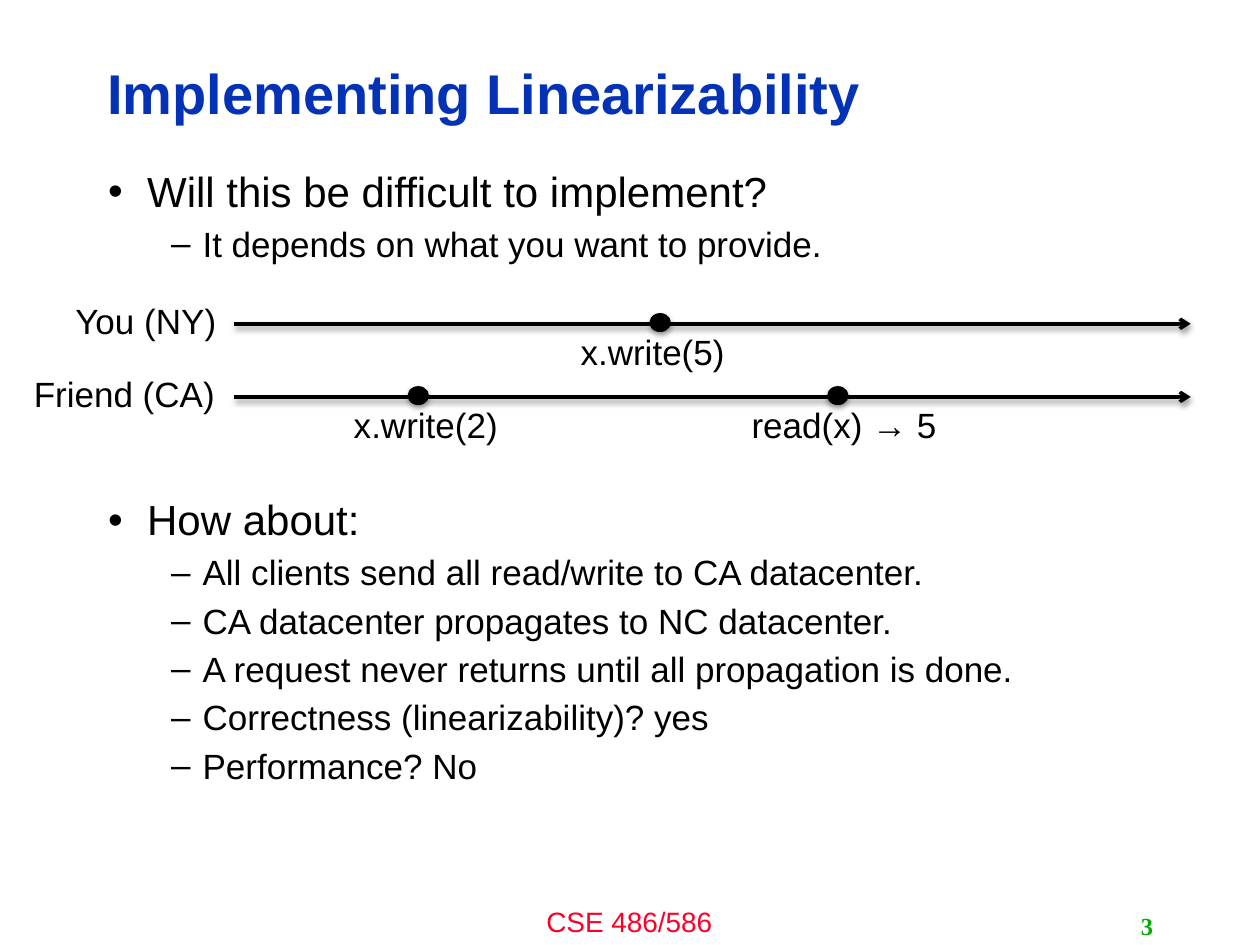
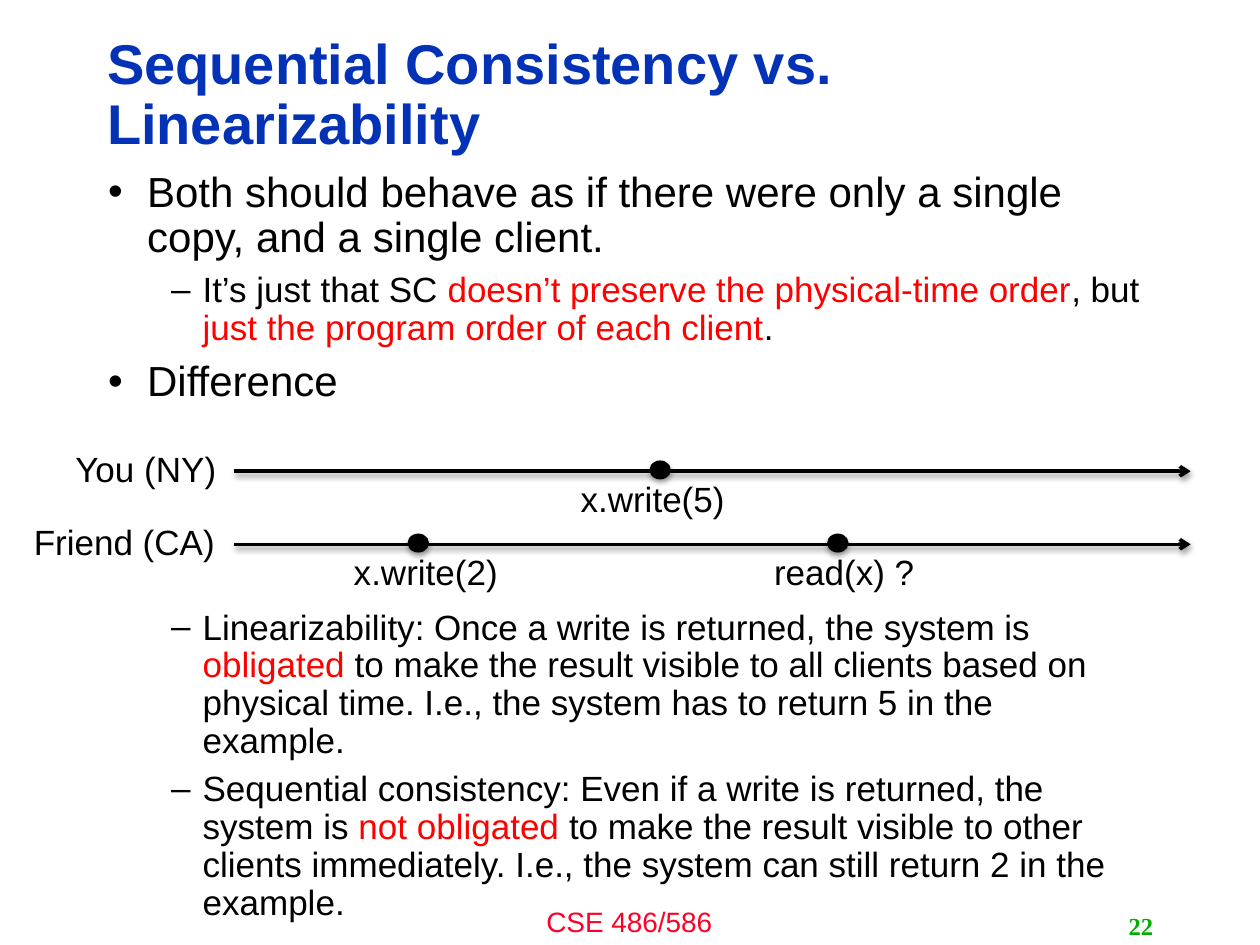
from dataclasses import dataclass

from lxml import etree
from pptx import Presentation
from pptx.dml.color import RGBColor
from pptx.enum.shapes import MSO_CONNECTOR as Connector, MSO_SHAPE as Preset
from pptx.enum.text import MSO_ANCHOR as Anchor, MSO_AUTO_SIZE as AutoSize, PP_ALIGN as Align
from pptx.oxml.ns import qn
from pptx.util import Inches, Pt

COLORS = {
    "title": "0332B7",
    "text": "000000",
    "highlight": "FF0000",
    "footer": "FC0128",
    "number": "00AE00",
}
FONT = "Arial"
NUMBER_FONT = "Times New Roman"
TITLE_ONLY = 5

# Timeline geometry, in inches
LINE_LEFT, LINE_RIGHT = 1.86, 9.45
LABEL_RIGHT = 1.84
ROW_GAP = 0.58
DOT_WIDTH, DOT_HEIGHT = 0.16, 0.14
EVENT_WIDTH, LABEL_HEIGHT = 3.43, 0.44


@dataclass(frozen=True)
class Span:
    text: str
    color: str = "text"


@dataclass(frozen=True)
class Bullet:
    spans: tuple[Span, ...]
    level: int = 0
    gap: float = 0  # extra points above, leaving room for the timeline


@dataclass(frozen=True)
class Level:
    mark: str
    size: int
    margin: float
    hanging: float


@dataclass(frozen=True)
class Event:
    text: str
    dot_x: float
    label_x: float


@dataclass(frozen=True)
class Row:
    name: str
    label_width: float
    events: tuple[Event, ...]


@dataclass(frozen=True)
class Page:
    title: str
    number: int
    timeline_top: float
    read_label: str
    bullets: tuple[Bullet, ...]


LEVELS = (Level("•", 24, 0.31, 0.31), Level("–", 20, 0.75, 0.25))


def point(*spans: str | Span, level: int = 0, gap: float = 0) -> Bullet:
    return Bullet(tuple(s if isinstance(s, Span) else Span(s) for s in spans), level, gap)


def red(text: str) -> Span:
    return Span(text, "highlight")


PAGES = (
    Page("Implementing Linearizability", 3, 2.57, "read(x) → 5", (
        point("Will this be difficult to implement?"),
        point("It depends on what you want to provide.", level=1),
        point("How about:", gap=127),
        point("All clients send all read/write to CA datacenter.", level=1),
        point("CA datacenter propagates to NC datacenter.", level=1),
        point("A request never returns until all propagation is done.", level=1),
        point("Correctness (linearizability)? yes", level=1),
        point("Performance? No", level=1),
    )),
    Page("Sequential Consistency vs. Linearizability", 22, 3.74, "read(x) ?", (
        point("Both should behave as if there were only a single copy, and a single client."),
        point("It’s just that SC ", red("doesn’t preserve the physical-time order"), ", but ",
              red("just the program order of each client"), ".", level=1),
        point("Difference"),
        point("Linearizability: Once a write is returned, the system is ", red("obligated"),
              " to make the result visible to all clients based on physical time. "
              "I.e., the system has to return 5 in the example.", level=1, gap=110.5),
        point("Sequential consistency: Even if a write is returned, the system is ",
              red("not obligated"),
              " to make the result visible to other clients immediately. "
              "I.e., the system can still return 2 in the example.", level=1),
    )),
)


def rgb(name: str) -> RGBColor:
    return RGBColor.from_string(COLORS[name])


def add_span(para, span: Span, size: int, font: str = FONT, bold: bool = False) -> None:
    run = para.add_run()
    run.text = span.text
    run.font.name = font
    run.font.size = Pt(size)
    run.font.bold = bold
    run.font.color.rgb = rgb(span.color)


def add_box(slide, left: float, top: float, width: float, height: float):
    box = slide.shapes.add_textbox(Inches(left), Inches(top), Inches(width), Inches(height))
    box.text_frame.word_wrap = True
    return box


def add_label(slide, span: Span, left: float, top: float, width: float, height: float,
              size: int = 20, align: Align = Align.CENTER, font: str = FONT,
              bold: bool = False) -> None:
    para = add_box(slide, left, top, width, height).text_frame.paragraphs[0]
    para.alignment = align
    add_span(para, span, size, font, bold)


def add_shadow(shape, alpha: int, distance: float) -> None:
    """Append a soft shadow that falls straight down."""
    effects = etree.SubElement(shape.element.spPr, qn("a:effectLst"))
    shadow = etree.SubElement(effects, qn("a:outerShdw"), blurRad=str(Pt(3.1)),
                              dist=str(Pt(distance)), dir="5400000", rotWithShape="0")
    color = etree.SubElement(shadow, qn("a:srgbClr"), val=COLORS["text"])
    etree.SubElement(color, qn("a:alpha"), val=str(alpha * 1000))


def add_title(slide, text: str) -> None:
    title = slide.shapes.title
    title.left, title.top = Inches(0.75), Inches(0.36)
    title.width, title.height = Inches(7.98), Inches(0.81)
    frame = title.text_frame
    frame.auto_size = AutoSize.NONE
    frame.vertical_anchor = Anchor.MIDDLE
    para = frame.paragraphs[0]
    para.alignment = Align.LEFT
    para.line_spacing = 0.9
    add_span(para, Span(text, "title"), 32, bold=True)


def add_bullets(slide, bullets: tuple[Bullet, ...]) -> None:
    frame = add_box(slide, 0.76, 1.31, 8.4, 5.86).text_frame
    for index, bullet in enumerate(bullets):
        level = LEVELS[bullet.level]
        para = frame.add_paragraph() if index else frame.paragraphs[0]
        para.level = bullet.level
        para.line_spacing = 0.9
        para.space_before = Pt(0.3 * level.size + bullet.gap)
        properties = para._p.get_or_add_pPr()
        properties.set("marL", str(Inches(level.margin)))
        properties.set("indent", str(-Inches(level.hanging)))
        etree.SubElement(properties, qn("a:buFont"), typeface=FONT)
        etree.SubElement(properties, qn("a:buChar"), char=level.mark)
        for span in bullet.spans:
            add_span(para, span, level.size)


def add_time_arrow(slide, y: float) -> None:
    arrow = slide.shapes.add_connector(Connector.STRAIGHT, Inches(LINE_LEFT), Inches(y),
                                       Inches(LINE_RIGHT), Inches(y))
    arrow.line.color.rgb = rgb("text")
    arrow.line.width = Pt(2)
    etree.SubElement(arrow.element.spPr.find(qn("a:ln")), qn("a:tailEnd"), type="arrow")
    add_shadow(arrow, 38, 1.6)


def add_event(slide, event: Event, y: float) -> None:
    dot = slide.shapes.add_shape(
        Preset.OVAL, Inches(event.dot_x - DOT_WIDTH / 2), Inches(y - 0.08),
        Inches(DOT_WIDTH), Inches(DOT_HEIGHT))
    dot.fill.solid()
    dot.fill.fore_color.rgb = rgb("text")
    dot.line.color.rgb = rgb("text")
    dot.line.width = Pt(0.75)
    add_shadow(dot, 35, 1.8)
    add_label(slide, Span(event.text), event.label_x - EVENT_WIDTH / 2, y,
              EVENT_WIDTH, LABEL_HEIGHT)


def add_timeline(slide, top: float, read_label: str) -> None:
    rows = (
        Row("You (NY)", 1.34, (Event("x.write(5)", 5.24, 5.18),)),
        Row("Friend (CA)", 1.67, (Event("x.write(2)", 3.32, 3.38),
                                  Event(read_label, 6.65, 6.7))),
    )
    for index, row in enumerate(rows):
        y = top + index * ROW_GAP
        add_time_arrow(slide, y)
        add_label(slide, Span(row.name), LABEL_RIGHT - row.label_width, y - 0.24,
                  row.label_width, LABEL_HEIGHT, align=Align.LEFT)
        for event in row.events:
            add_event(slide, event, y)


def add_footer(slide, number: int) -> None:
    add_label(slide, Span("CSE 486/586", "footer"), 3.33, 7.13, 3.33, 0.37, size=16)
    add_label(slide, Span(str(number), "number"), 7.17, 7.18, 2.08, 0.32, size=14,
              align=Align.RIGHT, font=NUMBER_FONT, bold=True)


def main() -> None:
    deck = Presentation()
    deck.slide_width, deck.slide_height = Inches(10), Inches(7.5)
    for page in PAGES:
        slide = deck.slides.add_slide(deck.slide_layouts[TITLE_ONLY])
        add_footer(slide, page.number)
        add_title(slide, page.title)
        add_bullets(slide, page.bullets)
        add_timeline(slide, page.timeline_top, page.read_label)
    deck.save("out.pptx")


if __name__ == "__main__":
    main()
